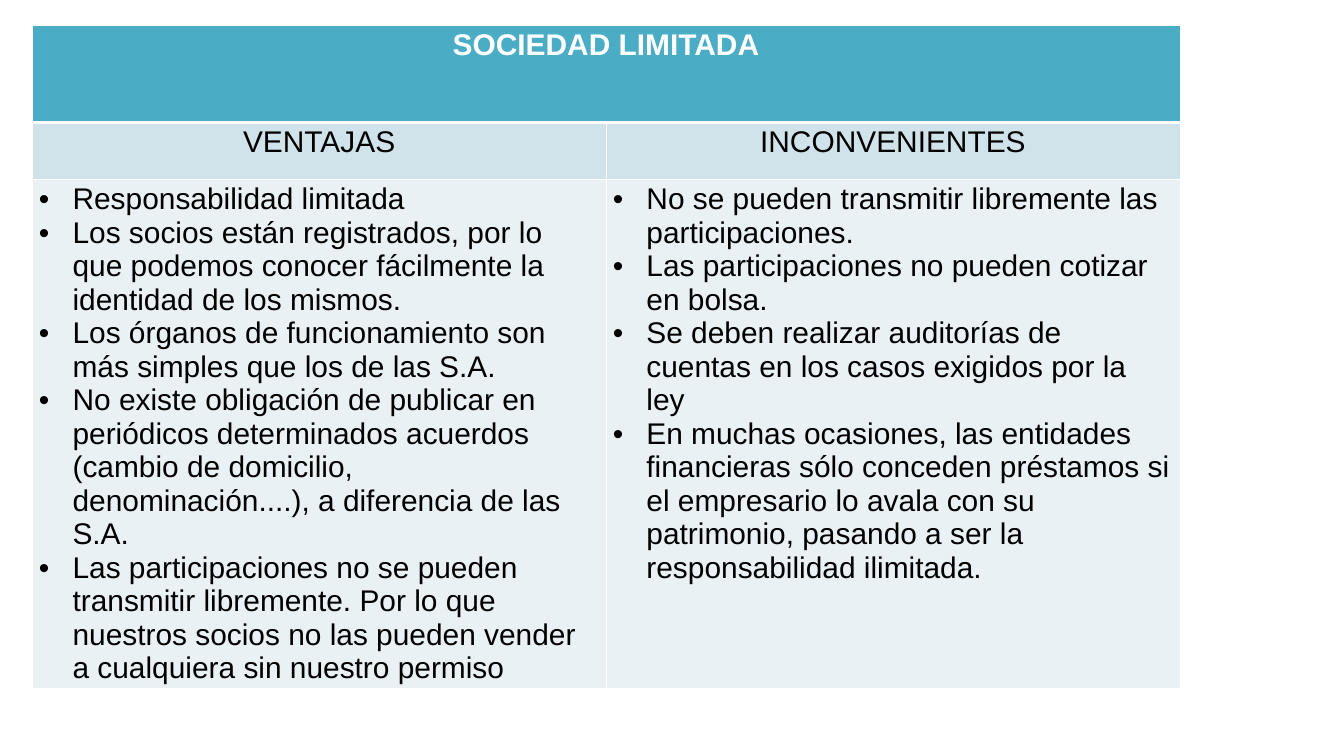
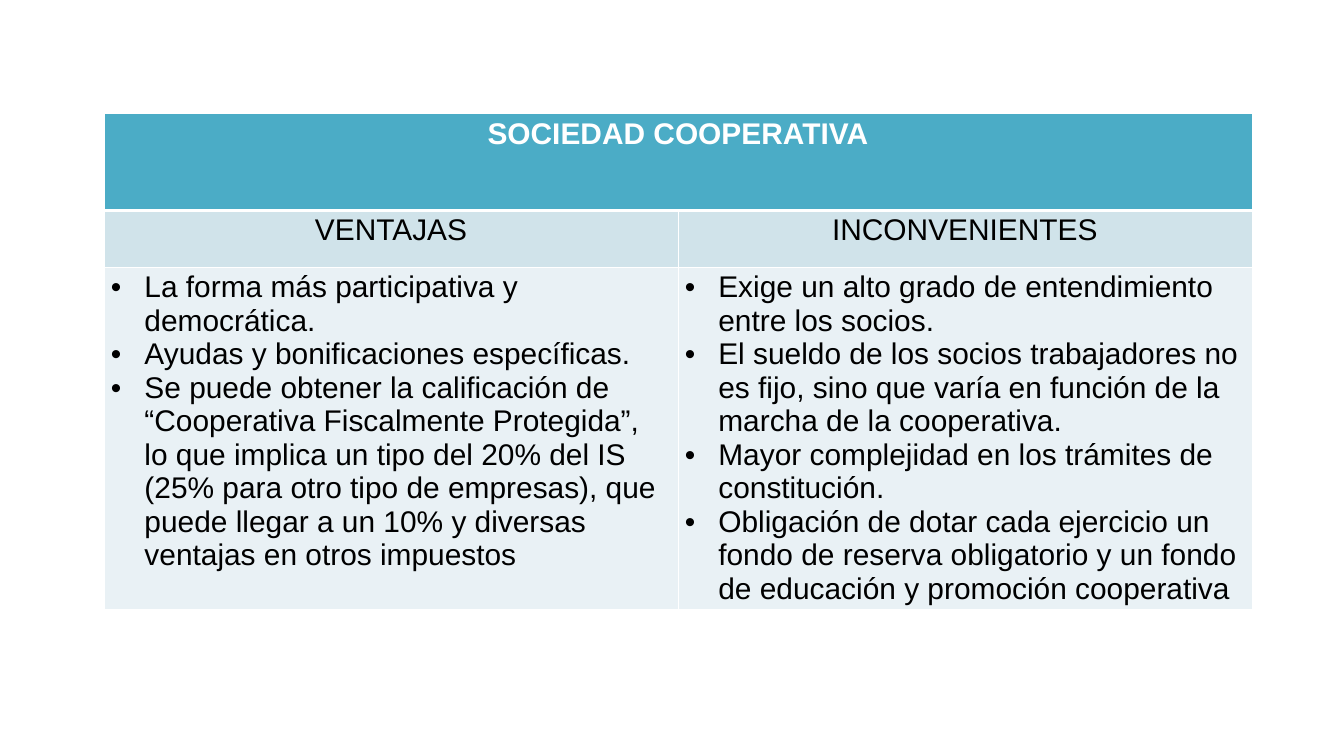
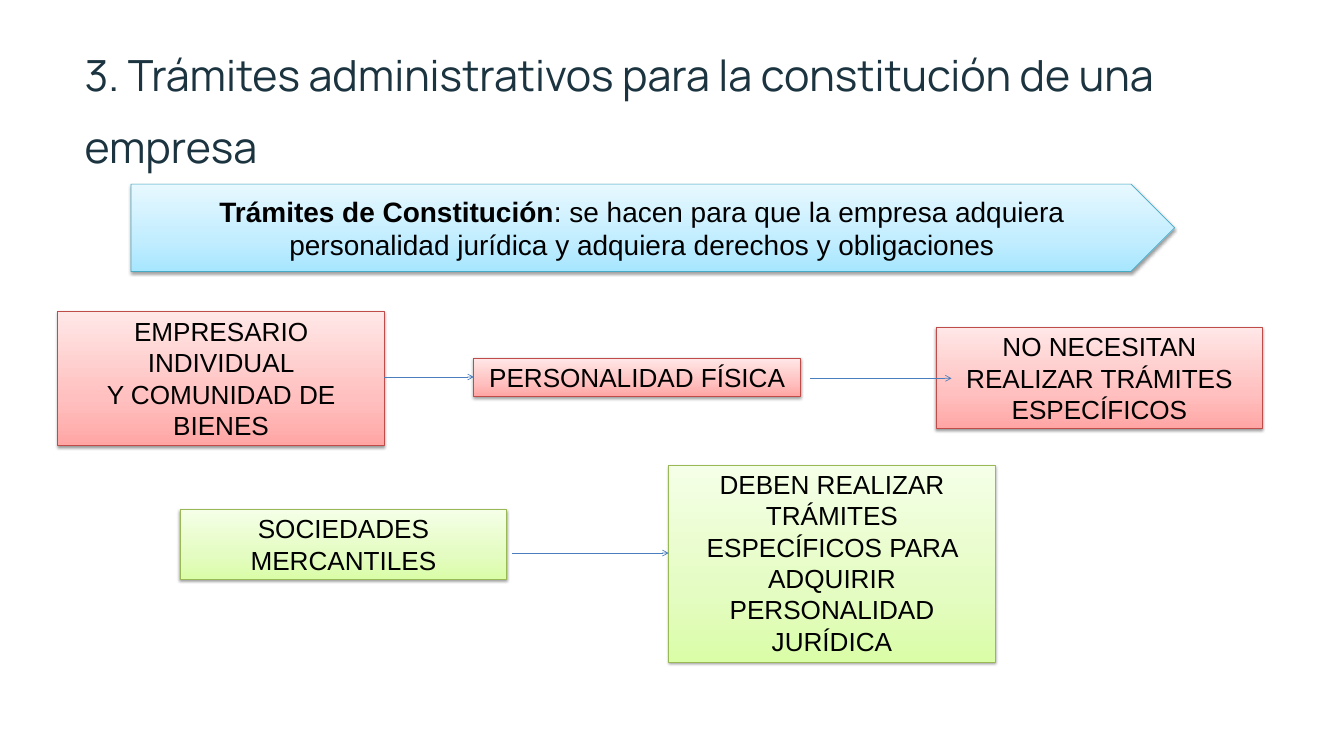
from copy import deepcopy
from dataclasses import dataclass

from pptx import Presentation
from pptx.dml.color import RGBColor
from pptx.enum.shapes import MSO_CONNECTOR, MSO_SHAPE
from pptx.enum.text import MSO_ANCHOR, MSO_AUTO_SIZE, PP_ALIGN
from pptx.oxml import parse_xml
from pptx.oxml.ns import nsdecls, qn
from pptx.util import Emu, Pt

PX = 9144  # 100 px to the inch
WIDE, HIGH = 2000, 1125
BLACK, WHITE, NAVY, BLUE = "000000", "FFFFFF", "1B3440", "4B7EBC"
HEAD, BAND, PALE = "4BACC6", "D0E3EA", "E9F1F5"
COL, ROWS = 854, (144, 85, 460)
BOX_W = 486
GROW = {"word_wrap": True, "auto_size": MSO_AUTO_SIZE.SHAPE_TO_FIT_TEXT}
FIXED = {"word_wrap": True, "vertical_anchor": MSO_ANCHOR.MIDDLE}
TOP = {"vertical_anchor": MSO_ANCHOR.TOP}
FLUSH = {f"margin_{side}": 0 for side in ("left", "top", "right", "bottom")}


@dataclass
class Tone:
    stops: tuple[str, str, str]  # from the bottom up
    edge: str


@dataclass
class Chart:
    title: str
    left: int
    top: int
    high: int
    pros: list[str]
    cons: list[str]


@dataclass
class Box:
    text: str
    left: int
    top: int
    high: int
    tone: Tone


@dataclass
class Arrow:
    start: int
    end: int
    y: int


SKY = Tone(("A7E6FF", "C1EDFF", "E7F8FF"), "46AAC5")
ROSE = Tone(("FFA6A5", "FFC0BF", "FFE7E7"), "BF4C48")
LIME = Tone(("DAFDA7", "E4FCC2", "F5FFE7"), "98B955")

CHARTS = [
    Chart("SOCIEDAD LIMITADA", 48, 38, 986, [
        "Responsabilidad limitada",
        "Los socios están registrados, por lo que podemos conocer fácilmente la identidad de los mismos.",
        "Los órganos de funcionamiento son más simples que los de las S.A.",
        "No existe obligación de publicar en periódicos determinados acuerdos "
        "(cambio de domicilio, denominación....), a diferencia de las S.A.",
        "Las participaciones no se pueden transmitir libremente. Por lo que nuestros socios "
        "no las pueden vender a cualquiera sin nuestro permiso",
    ], [
        "No se pueden transmitir libremente las participaciones.",
        "Las participaciones no pueden cotizar en bolsa.",
        "Se deben realizar auditorías de cuentas en los casos exigidos por la ley",
        "En muchas ocasiones, las entidades financieras sólo conceden préstamos si el empresario "
        "lo avala con su patrimonio, pasando a ser la responsabilidad ilimitada.",
    ]),
    Chart("SOCIEDAD COOPERATIVA", 155, 169, 772, [
        "La forma más participativa y democrática.",
        "Ayudas y bonificaciones específicas.",
        "Se puede obtener la calificación de “Cooperativa Fiscalmente Protegida”, lo que implica "
        "un tipo del 20% del IS (25% para otro tipo de empresas), que puede llegar a un 10% "
        "y diversas ventajas en otros impuestos",
    ], [
        "Exige un alto grado de entendimiento entre los socios.",
        "El sueldo de los socios trabajadores no es fijo, sino que varía en función de la marcha "
        "de la cooperativa.",
        "Mayor complejidad en los trámites de constitución.",
        "Obligación de dotar cada ejercicio un fondo de reserva obligatorio y un fondo de "
        "educación y promoción cooperativa",
    ]),
]
BOXES = [
    Box("EMPRESARIO INDIVIDUAL\nY COMUNIDAD DE BIENES", 86, 464, 199, ROSE),
    Box("PERSONALIDAD FÍSICA", 705, 533, 57, ROSE),
    Box("NO NECESITAN REALIZAR TRÁMITES ESPECÍFICOS", 1393, 487, 151, ROSE),
    Box("SOCIEDADES MERCANTILES", 268, 758, 104, LIME),
    Box("DEBEN REALIZAR TRÁMITES ESPECÍFICOS PARA ADQUIRIR PERSONALIDAD JURÍDICA",
        995, 692, 293, LIME),
]
ARROWS = [Arrow(572, 705, 561), Arrow(1206, 1416, 563), Arrow(762, 995, 823)]


def px(*sizes: int) -> list[Emu]:
    return [Emu(size * PX) for size in sizes]


def rgb(code: str) -> RGBColor:
    return RGBColor.from_string(code)


def apply(thing, form: dict) -> None:
    for name, value in form.items():
        setattr(thing, name, value)


def add_run(para, text: str, size: int, color: str = BLACK, bold: bool = False,
            face: str = "Arial") -> None:
    run = para.add_run()
    run.text = text
    apply(run.font, {"name": face, "size": Pt(size), "bold": bold})
    run.font.color.rgb = rgb(color)


def add_lines(frame, lines: list[str], size: int, **form) -> list:
    """Write one paragraph a line and return the paragraphs."""
    for num, line in enumerate(lines):
        para = frame.add_paragraph() if num else frame.paragraphs[0]
        add_run(para, line, size, **form)
    return list(frame.paragraphs)


def center(paras: list) -> None:
    for para in paras:
        para.alignment = PP_ALIGN.CENTER


# Tables
def bullet(para) -> None:
    props = para._p.get_or_add_pPr()
    indent = 50 * PX
    props.set("marL", str(indent))
    props.set("indent", str(-indent))
    for body in ('buFont %s typeface="Arial"', 'buChar %s char="•"'):
        props.append(parse_xml(f"<a:{body % nsdecls('a')}/>"))


def paint(cell, color: str, base: int = 1) -> None:
    """Fill a cell and rule it in white; base is the width of its lower rule."""
    cell.fill.solid()
    cell.fill.fore_color.rgb = rgb(color)
    props = cell._tc.get_or_add_tcPr()
    for num, (side, width) in enumerate(zip("LRTB", (1, 1, 1, base))):
        props.insert(num, parse_xml(
            f'<a:ln{side} {nsdecls("a")} w="{Pt(width)}"><a:solidFill>'
            f'<a:srgbClr val="{WHITE}"/></a:solidFill></a:ln{side}>'))


def add_chart(slide, chart: Chart) -> None:
    frame = slide.shapes.add_table(
        len(ROWS), 2, *px(chart.left, chart.top, 2 * COL, sum(ROWS)))
    table = frame.table
    table.horz_banding = False
    for col in table.columns:
        col.width = Emu(COL * PX)
    for row, high in zip(table.rows, ROWS):
        row.height = Emu(high * PX)
    frame.height = Emu(chart.high * PX)

    head = table.cell(0, 0)
    head.merge(table.cell(0, 1))
    center(add_lines(head.text_frame, [chart.title], 32, color=WHITE, bold=True))
    for cell in table.rows[0].cells:
        paint(cell, HEAD, 3)
    sides = (("VENTAJAS", chart.pros), ("INCONVENIENTES", chart.cons))
    for col, (label, points) in enumerate(sides):
        name, body = table.cell(1, col), table.cell(2, col)
        center(add_lines(name.text_frame, [label], 32))
        for para in add_lines(body.text_frame, points, 32):
            bullet(para)
        paint(name, BAND)
        paint(body, PALE)


# Flow of boxes
def add_panel(slide, kind: MSO_SHAPE, area: list[Emu], tone: Tone, form: dict):
    """Draw a shaded shape with a soft shadow and return its text frame."""
    shape = slide.shapes.add_shape(kind, *area)
    shape.fill.gradient()
    shape.fill.gradient_angle = 90
    props = shape._element.spPr
    stops = props.find(f".//{qn('a:gsLst')}")
    stops.append(deepcopy(stops[0]))
    for stop, color, place in zip(shape.fill.gradient_stops, tone.stops, (0, 0.35, 1)):
        stop.color.rgb = rgb(color)
        stop.position = place
    shape.line.color.rgb = rgb(tone.edge)
    shape.line.width = Pt(0.75)
    shape.shadow.inherit = False
    props.find(qn("a:effectLst")).append(parse_xml(
        f'<a:outerShdw {nsdecls("a")} blurRad="40000" dist="20000" dir="5400000" '
        f'rotWithShape="0"><a:srgbClr val="{BLACK}"><a:alpha val="38000"/></a:srgbClr>'
        '</a:outerShdw>'))
    apply(shape.text_frame, form)
    return shape.text_frame


def add_box(slide, box: Box) -> None:
    area = px(box.left, box.top, BOX_W, box.high)
    frame = add_panel(slide, MSO_SHAPE.RECTANGLE, area, box.tone, GROW | TOP)
    center(add_lines(frame, box.text.split("\n"), 28))


def add_arrow(slide, arrow: Arrow) -> None:
    line = slide.shapes.add_connector(
        MSO_CONNECTOR.STRAIGHT, *px(arrow.start, arrow.y, arrow.end, arrow.y))
    line.line.color.rgb = rgb(BLUE)
    line.line.width = Pt(0.75)
    props = line._element.spPr
    props.find(qn("a:ln")).append(parse_xml(f'<a:tailEnd {nsdecls("a")} type="arrow"/>'))
    props.append(parse_xml(f'<a:effectLst {nsdecls("a")}/>'))


def add_flow(slide) -> None:
    # Title
    title = slide.shapes.title
    left, top, width, height = px(126, 41, 1600, 217)
    apply(title, {"left": left, "top": top, "width": width, "height": height})
    apply(title.text_frame, GROW | TOP | FLUSH)
    text = "3. Trámites administrativos para la constitución de una empresa"
    para, = add_lines(title.text_frame, [text], 46, color=NAVY, face="Manrope")
    apply(para, {"alignment": PP_ALIGN.LEFT, "line_spacing": 1.4})

    # Banner
    frame = add_panel(slide, MSO_SHAPE.PENTAGON, px(195, 274, 1553, 130), SKY, FIXED)
    para, = add_lines(frame, ["Trámites de Constitución"], 30, bold=True)
    add_run(para, ": se hacen para que la empresa adquiera personalidad jurídica "
                  "y adquiera derechos y obligaciones", 30)
    center([para])

    # Boxes and arrows
    for box in BOXES:
        add_box(slide, box)
    for arrow in ARROWS:
        add_arrow(slide, arrow)


def main() -> None:
    deck = Presentation()
    deck.slide_width, deck.slide_height = px(WIDE, HIGH)
    plain, titled = deck.slide_layouts[6], deck.slide_layouts[5]
    for chart in CHARTS:
        add_chart(deck.slides.add_slide(plain), chart)
    add_flow(deck.slides.add_slide(titled))
    deck.save("out.pptx")


if __name__ == "__main__":
    main()
